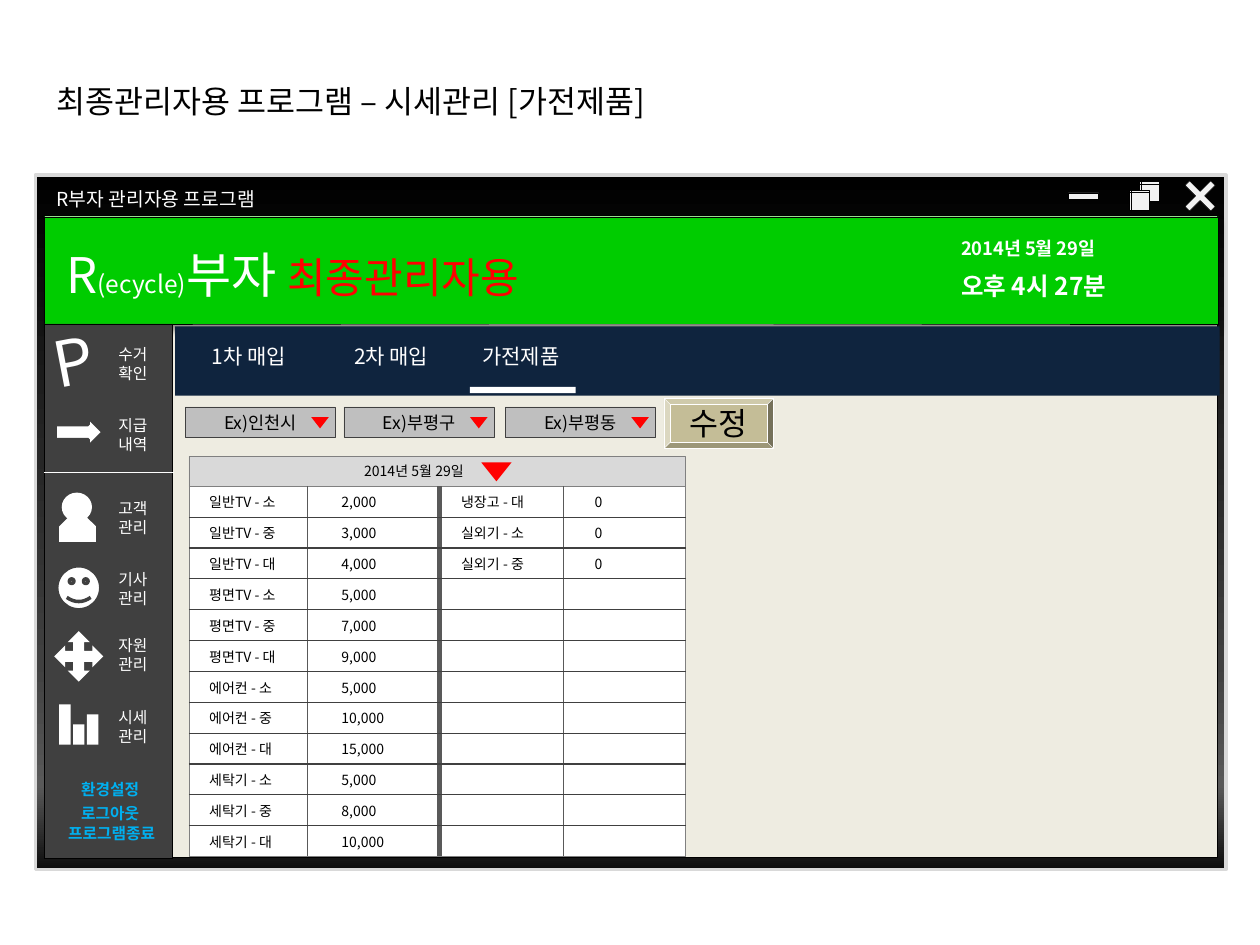
import pptx
import pptx.dml.color
import pptx.enum.shapes
import pptx.enum.text
import pptx.oxml.ns
import pptx.util
from lxml import etree

Inches = pptx.util.Inches
Pt = pptx.util.Pt
SHAPE = pptx.enum.shapes.MSO_SHAPE
ALIGN = pptx.enum.text.PP_ALIGN
ANCHOR = pptx.enum.text.MSO_ANCHOR
AUTO_SIZE = pptx.enum.text.MSO_AUTO_SIZE
qn = pptx.oxml.ns.qn
FONT = "Noto Sans CJK KR"
WHITE, BLACK, RED, DARK = "FFFFFF", "000000", "FF0000", "404040"

MENU = [("수거", "확인", 2.69), ("지급", "내역", 3.25), ("고객", "관리", 3.91),
        ("기사", "관리", 4.47), ("자원", "관리", 5.0), ("시세", "관리", 5.57)]
LEFT_PRICES = [("일반TV - 소", "2,000"), ("일반TV - 중", "3,000"), ("일반TV - 대", "4,000"),
               ("평면TV - 소", "5,000"), ("평면TV - 중", "7,000"), ("평면TV - 대", "9,000"),
               ("에어컨 - 소", "5,000"), ("에어컨 - 중", "10,000"), ("에어컨 - 대", "15,000"),
               ("세탁기 - 소", "5,000"), ("세탁기 - 중", "8,000"), ("세탁기 - 대", "10,000")]
RIGHT_PRICES = [("냉장고 - 대", "0"), ("실외기 - 소", "0"), ("실외기 - 중", "0")]


def rgb(color):
    return pptx.dml.color.RGBColor.from_string(color)


def add_run(paragraph, text, size, color, bold=False):
    run = paragraph.add_run()
    run.text = text
    run.font.size = Pt(size)
    run.font.bold = bold
    run.font.color.rgb = rgb(color)
    run.font.name = FONT
    etree.SubElement(run.font._element, qn("a:ea"), typeface=FONT)


def add_shape(slide, kind, box, fill, line=None, width=0.25, rotation=0):
    shape = slide.shapes.add_shape(kind, *map(Inches, box))
    shape.shadow.inherit = False
    shape.rotation = rotation
    shape.fill.solid()
    shape.fill.fore_color.rgb = rgb(fill)
    if line:
        shape.line.color.rgb = rgb(line)
        shape.line.width = Pt(width)
    else:
        shape.line.fill.background()
    return shape


def add_label(slide, box, lines, align=ALIGN.LEFT, rotation=0, gap=0):
    label = slide.shapes.add_textbox(*map(Inches, box))
    label.rotation = rotation
    frame = label.text_frame
    frame.word_wrap = True
    frame.auto_size = AUTO_SIZE.SHAPE_TO_FIT_TEXT
    for index, runs in enumerate(lines):
        paragraph = frame.add_paragraph() if index else frame.paragraphs[0]
        paragraph.alignment = align
        if index and gap:
            paragraph.space_before = Pt(gap)
        for run in runs:
            add_run(paragraph, *run)


def add_shape_text(shape, text, size, align=ALIGN.CENTER):
    shape.text_frame.vertical_anchor = ANCHOR.MIDDLE
    paragraph = shape.text_frame.paragraphs[0]
    paragraph.alignment = align
    add_run(paragraph, text, size, BLACK)


def add_title(slide):
    title = slide.shapes.title
    title.left, title.top, title.width, title.height = map(Inches, (0.35, 0.6, 6.41, 0.4))
    title.text_frame.auto_size = AUTO_SIZE.NONE
    title.text_frame.vertical_anchor = ANCHOR.TOP
    paragraph = title.text_frame.paragraphs[0]
    paragraph.alignment = ALIGN.LEFT
    add_run(paragraph, "최종관리자용 프로그램 – 시세관리 [가전제품]", 18, BLACK)


def set_gradient(shape, stops):
    shape.fill.gradient()
    shape.fill.gradient_angle = 270
    stop_list = shape._element.spPr.find(".//" + qn("a:gsLst"))
    for stop in list(stop_list):
        stop_list.remove(stop)
    for position, color in stops:
        stop = etree.SubElement(stop_list, qn("a:gs"), pos=str(position * 1000))
        etree.SubElement(stop, qn("a:srgbClr"), val=color)


def set_shadow(shape):
    effects = shape._element.spPr.find(qn("a:effectLst"))
    shadow = etree.SubElement(effects, qn("a:outerShdw"), blurRad=str(Pt(4)),
                              dist=str(Pt(3)), dir="5400000", rotWithShape="0")
    color = etree.SubElement(shadow, qn("a:srgbClr"), val=BLACK)
    etree.SubElement(color, qn("a:alpha"), val="40000")


def add_window(slide):
    frame = add_shape(slide, SHAPE.RECTANGLE, (0.28, 1.39, 9.45, 5.51), BLACK, "D9D9D9", 2)
    set_gradient(frame, [(0, BLACK), (40, "262626"), (70, DARK), (88, "595959"), (100, "0D0D0D")])
    add_shape(slide, SHAPE.RECTANGLE, (0.35, 1.71, 9.31, 5.1), "EEECE1", BLACK, 0.5)
    add_shape(slide, SHAPE.RECTANGLE, (8.48, 1.53, 0.24, 0.05), "F2F2F2", BLACK)
    for left, top in [(9.04, 1.44), (8.96, 1.51)]:
        add_shape(slide, SHAPE.FLOWCHART_INTERNAL_STORAGE, (left, top, 0.16, 0.16), "F2F2F2", BLACK)
    close = add_shape(slide, SHAPE.MATH_MULTIPLY, (9.33, 1.36, 0.39, 0.39), "F2F2F2", BLACK)
    close.adjustments[0] = 0.13
    add_label(slide, (0.35, 1.44, 3.15, 0.29), [[("R부자 관리자용 프로그램", 11, WHITE)]])


def add_banner(slide):
    banner = add_shape(slide, SHAPE.RECTANGLE, (0.35, 1.72, 9.32, 0.85), "00CC00", BLACK)
    set_shadow(banner)
    add_label(slide, (0.43, 1.89, 5.04, 0.57), [[
        ("R", 28, WHITE), ("(ecycle)", 14, WHITE), ("부자 ", 28, WHITE), ("최종관리자용", 24, RED)]])
    add_label(slide, (7.53, 1.83, 1.61, 0.61), [
        [("2014년 5월 29일", 10.5, WHITE, True)], [("오후 4시 27분", 14, WHITE, True)]], gap=7)


def add_sidebar(slide):
    add_shape(slide, SHAPE.RECTANGLE, (0.35, 2.57, 1.02, 4.24), DARK, BLACK)
    add_label(slide, (0.33, 2.51, 0.47, 0.71), [[("P", 36, WHITE)]], rotation=349)
    add_shape(slide, SHAPE.STRIPED_RIGHT_ARROW, (0.4, 3.31, 0.42, 0.24), WHITE, DARK, 2)
    divider = slide.shapes.add_connector(pptx.enum.shapes.MSO_CONNECTOR.STRAIGHT,
                                         Inches(0.35), Inches(3.75), Inches(1.38), Inches(3.75))
    divider.line.color.rgb = rgb(WHITE)
    divider.line.width = Pt(0.75)
    etree.SubElement(divider._element.spPr, qn("a:effectLst"))
    body = add_shape(slide, SHAPE.SNIP_2_SAME_RECTANGLE, (0.47, 4.06, 0.29, 0.24), WHITE)
    body.adjustments[0] = 0.49
    add_shape(slide, SHAPE.OVAL, (0.49, 3.91, 0.24, 0.23), WHITE)
    add_shape(slide, SHAPE.SMILEY_FACE, (0.45, 4.49, 0.35, 0.35), WHITE, DARK, 2)
    add_shape(slide, SHAPE.QUAD_ARROW, (0.43, 5.01, 0.39, 0.4), WHITE)
    for left, height in [(0.47, 0.32), (0.58, 0.16), (0.69, 0.24)]:
        add_shape(slide, SHAPE.RECTANGLE, (left, 5.91 - height, 0.09, height), WHITE)
    for first, second, top in MENU:
        add_label(slide, (0.7, top, 0.71, 0.4), [[(first, 9, WHITE)], [(second, 9, WHITE)]], ALIGN.CENTER)
    for text, left, top, width in [("환경설정", 0.51, 6.14, 0.73), ("로그아웃", 0.51, 6.33, 0.73),
                                   ("프로그램종료", 0.35, 6.49, 1.07)]:
        add_label(slide, (left, top, width, 0.25), [[(text, 9, "00B0F0", True)]], ALIGN.CENTER)


def add_tabs(slide):
    add_shape(slide, SHAPE.RECTANGLE, (1.39, 2.59, 8.29, 0.55), "0F243E")
    add_shape(slide, SHAPE.RECTANGLE, (3.73, 3.07, 0.84, 0.05), WHITE)
    for text, left, width in [("1차 매입", 1.42, 1.11), ("2차 매입", 2.47, 1.27), ("가전제품", 3.5, 1.27)]:
        add_label(slide, (left, 2.68, width, 0.3), [[(text, 12, WHITE)]], ALIGN.CENTER)


def add_filters(slide):
    for text, left in [("Ex)인천시", 1.47), ("Ex)부평구", 2.73), ("Ex)부평동", 4.01)]:
        dropdown = add_shape(slide, SHAPE.RECTANGLE, (left, 3.23, 1.19, 0.24), "BFBFBF", DARK)
        add_shape_text(dropdown, text, 10)
        add_shape(slide, SHAPE.ISOSCELES_TRIANGLE, (left + 1, 3.31, 0.14, 0.09), RED, rotation=180)
    button = add_shape(slide, SHAPE.BEVEL, (5.27, 3.16, 0.87, 0.4), "C4BD97", WHITE)
    add_shape_text(button, "수정", 18)


def set_borders(cell, borders):
    properties = cell._tc.get_or_add_tcPr()
    for index, (side, color, width) in enumerate(borders):
        line = etree.Element(qn("a:ln" + side), w=str(Pt(width)))
        fill = etree.SubElement(line, qn("a:solidFill"))
        etree.SubElement(fill, qn("a:srgbClr"), val=color)
        properties.insert(index, line)


def add_price_table(slide):
    header = add_shape(slide, SHAPE.RECTANGLE, (1.5, 3.62, 3.94, 0.24), "D9D9D9", "808080")
    header.text_frame.margin_left = Inches(1.39)
    add_shape_text(header, "2014년 5월 29일", 8, ALIGN.LEFT)
    add_shape(slide, SHAPE.FLOWCHART_EXTRACT, (3.82, 3.67, 0.24, 0.15), RED, rotation=180)
    count = len(LEFT_PRICES)
    table = slide.shapes.add_table(count, 4, *map(Inches, (1.5, 3.86, 3.94, 2.94))).table
    table.first_row = table.horz_banding = False
    for column, width in zip(table.columns, (0.94, 1.05, 0.98, 0.97)):
        column.width = Inches(width)
    edge, inner, middle = ("808080", 0.25), ("595959", 0.75), ("595959", 3)
    verticals = [edge, inner, middle, inner, edge]
    horizontals = [edge] + [(DARK, 0.75)] * (count - 1) + [edge]
    for row in range(count):
        right = RIGHT_PRICES[row] if row < len(RIGHT_PRICES) else ("", "")
        for column, text in enumerate(LEFT_PRICES[row] + right):
            cell = table.cell(row, column)
            cell.fill.solid()
            cell.fill.fore_color.rgb = rgb(WHITE)
            cell.margin_left = Inches((0.16, 0.27, 0.17, 0.25)[column])
            cell.margin_right = cell.margin_top = cell.margin_bottom = 0
            cell.vertical_anchor = ANCHOR.MIDDLE
            paragraph = cell.text_frame.paragraphs[0]
            paragraph.font.size = Pt(8)
            if text:
                add_run(paragraph, text, 8, BLACK)
            set_borders(cell, [("L", *verticals[column]), ("R", *verticals[column + 1]),
                               ("T", *horizontals[row]), ("B", *horizontals[row + 1])])


def main():
    presentation = pptx.Presentation()
    presentation.slide_width, presentation.slide_height = Inches(10), Inches(7.5)
    slide = presentation.slides.add_slide(presentation.slide_layouts[5])
    for add_part in (add_title, add_window, add_banner, add_sidebar, add_tabs, add_filters, add_price_table):
        add_part(slide)
    presentation.save("out.pptx")


if __name__ == "__main__":
    main()
